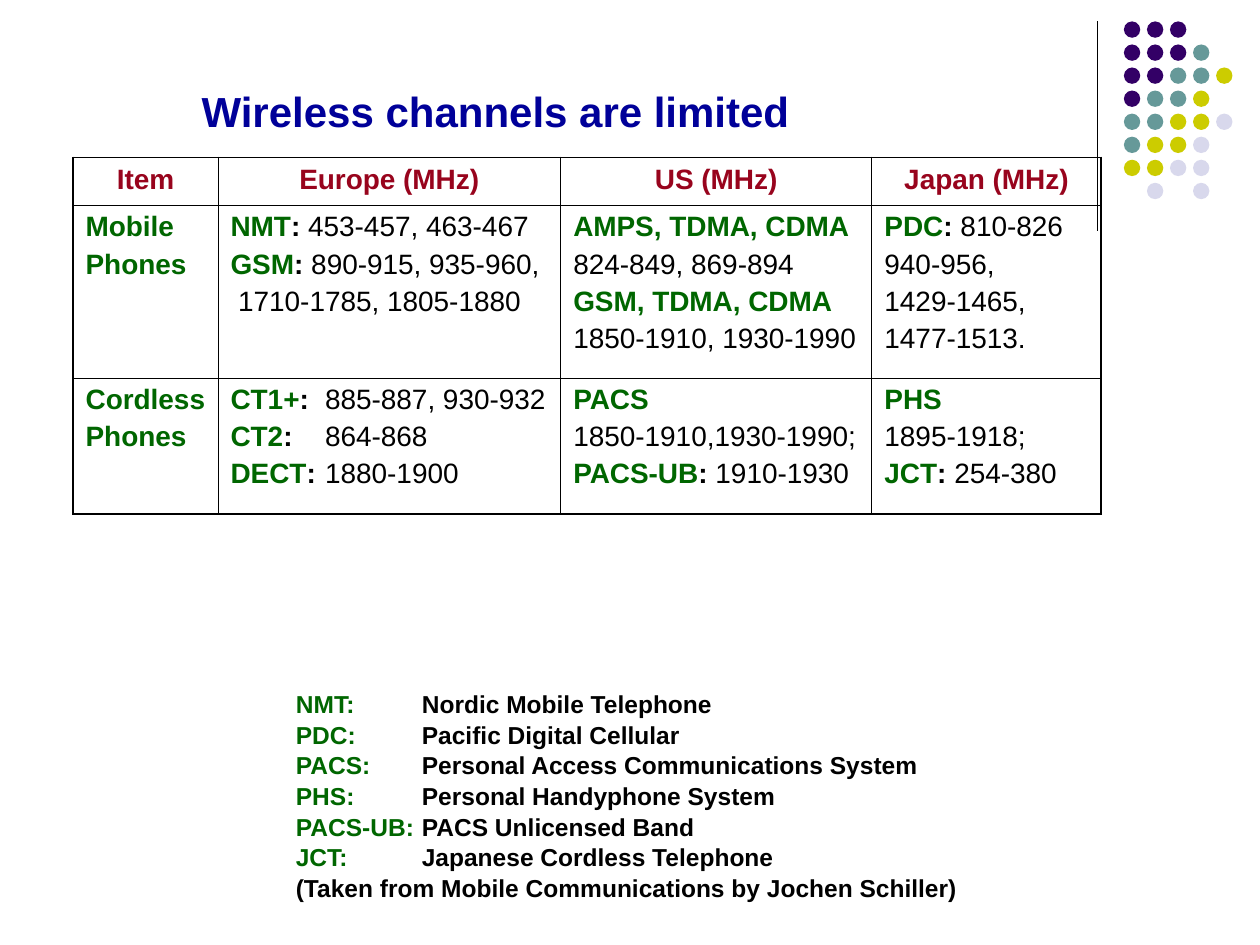
from dataclasses import dataclass

from lxml import etree
from pptx import Presentation
from pptx.dml.color import RGBColor
from pptx.enum.shapes import MSO_CONNECTOR, MSO_SHAPE
from pptx.enum.text import MSO_ANCHOR, PP_ALIGN
from pptx.oxml.ns import qn
from pptx.util import Inches, Pt

LEFT, CENTER = PP_ALIGN.LEFT, PP_ALIGN.CENTER
MIDDLE = MSO_ANCHOR.MIDDLE
OVAL = MSO_SHAPE.OVAL
LINE = MSO_CONNECTOR.STRAIGHT


@dataclass(frozen=True)
class Theme:
    """Hold the fonts, sizes and colours of the slide."""
    font: str = "Arial"
    title: str = "000099"
    head: str = "98041D"
    term: str = "006600"
    ink: str = "000000"
    dots: tuple = ("330066", "669999", "CCCC00", "D8D8EC")
    big: int = 24
    mid: int = 16
    small: int = 14
    thick: float = 1.08
    thin: float = 0.45


THEME = Theme()
TERM, MARK, PLAIN = (THEME.term, True), (THEME.ink, True), (THEME.ink, False)
DOTS = ("000", "0001", "00112", "0112", "11223", "1223", "2233", " 3 3")
COLS = (1.15, 2.72, 2.47, 1.82)
ROWS = (0.38, 1.37, 1.08)
HEADS = ("Item", "Europe (MHz)", "US (MHz)", "Japan (MHz)")
BODY = (
    (
        ("Mobile", "Phones"),
        ("NMT|: |453-457, 463-467", "GSM|: |890-915, 935-960,",
         "||1710-1785, 1805-1880"),
        ("AMPS, TDMA, CDMA", "||824-849, 869-894",
         "GSM, TDMA, CDMA", "||1850-1910, 1930-1990"),
        ("PDC|: |810-826", "||940-956,", "||1429-1465,", "||1477-1513."),
    ),
    (
        ("Cordless", "Phones"),
        ("CT1+|:\t|885-887, 930-932", "CT2|:\t|864-868",
         "DECT|:\t|1880-1900"),
        ("PACS", "||1850-1910,1930-1990;", "PACS-UB|: |1910-1930"),
        ("PHS", "||1895-1918;", "JCT|: |254-380"),
    ),
)
NOTES = (
    "NMT:\t|Nordic Mobile Telephone",
    "PDC:\t|Pacific Digital Cellular",
    "PACS:\t|Personal Access Communications System",
    "PHS:\t|Personal Handyphone System",
    "PACS-UB:\t|PACS Unlicensed Band",
    "JCT:\t|Japanese Cordless Telephone",
    "|(Taken from Mobile Communications by Jochen Schiller)",
)


def paint(run, size, color, bold):
    """Set the look of one run."""
    font = run.font
    font.name, font.size, font.bold = THEME.font, Pt(size), bold
    font.color.rgb = RGBColor.from_string(color)


def add_tab(para, stop):
    """Give a paragraph one left tab stop."""
    tabs = etree.SubElement(para._p.get_or_add_pPr(), qn("a:tabLst"))
    etree.SubElement(tabs, qn("a:tab"), pos=str(stop), algn="l")


def write(frame, lines, size, gap, stop, looks=(TERM, MARK, PLAIN)):
    """Fill a frame with lines whose parts take the looks in turn."""
    for i, line in enumerate(lines):
        para = frame.add_paragraph() if i else frame.paragraphs[0]
        para.alignment = LEFT
        para.space_before = Pt(gap if i else 0)
        if "\t" in line:
            add_tab(para, stop)
        for text, look in zip(line.split("|"), looks):
            if text:
                run = para.add_run()
                run.text = text
                paint(run, size, *look)


def add_title(slide, left, top, width, height):
    """Place the title."""
    shape = slide.shapes.title
    shape.left, shape.top, shape.width, shape.height = left, top, width, height
    frame = shape.text_frame
    frame.text = "Wireless channels are limited"
    frame.vertical_anchor, frame.word_wrap = MIDDLE, True
    para = frame.paragraphs[0]
    para.alignment = LEFT
    paint(para.runs[0], THEME.big, THEME.title, True)


def add_corner(slide, left, top, height):
    """Draw the upright rule and the dot pattern to its right."""
    rule = slide.shapes.add_connector(LINE, left, top, left, top + height)
    rule.line.color.rgb = RGBColor.from_string(THEME.ink)
    rule.line.width = Pt(0.75)
    etree.SubElement(rule._element.spPr, qn("a:effectLst"))
    group = slide.shapes.add_group_shape()
    step, size = Inches(0.183), Inches(0.13)
    start = left + Inches(0.21)
    for r, row in enumerate(DOTS):
        for c, tone in enumerate(row):
            if tone == " ":
                continue
            dot = group.shapes.add_shape(
                OVAL, start + c * step, top + r * step, size, size)
            dot.shadow.inherit = False
            dot.fill.solid()
            dot.fill.fore_color.rgb = RGBColor.from_string(
                THEME.dots[int(tone)])
            dot.line.fill.background()


def add_edges(cell, r, c):
    """Clear a cell and line it, with thicker lines at the table's rim."""
    cell.fill.background()
    rims = (("L", c == 0), ("R", c == len(COLS) - 1),
            ("T", r == 0), ("B", r == len(ROWS) - 1))
    props = cell._tc.get_or_add_tcPr()
    for i, (side, rim) in enumerate(rims):
        width = Pt(THEME.thick if rim else THEME.thin)
        edge = etree.Element(qn("a:ln" + side), w=str(int(width)))
        fill = etree.SubElement(edge, qn("a:solidFill"))
        etree.SubElement(fill, qn("a:srgbClr"), val=THEME.ink)
        props.insert(i, edge)


def add_bands(slide, left, top):
    """Place the table of frequency bands."""
    table = slide.shapes.add_table(
        len(ROWS), len(COLS), left, top,
        Inches(sum(COLS)), Inches(sum(ROWS))).table
    table.first_row = table.horz_banding = False
    for col, width in zip(table.columns, COLS):
        col.width = Inches(width)
    for row, height in zip(table.rows, ROWS):
        row.height = Inches(height)
    for c, head in enumerate(HEADS):
        frame = table.cell(0, c).text_frame
        frame.text = head
        frame.paragraphs[0].alignment = CENTER
        paint(frame.paragraphs[0].runs[0], THEME.mid, THEME.head, True)
    for r, row in enumerate(BODY, 1):
        for c, lines in enumerate(row):
            write(table.cell(r, c).text_frame, lines, THEME.mid, 3.5,
                  Inches(0.75))
    inset = table.cell(1, 1).text_frame.paragraphs[2]
    inset._p.get_or_add_pPr().set("marL", str(Inches(0.06)))
    for r in range(len(ROWS)):
        for c in range(len(COLS)):
            add_edges(table.cell(r, c), r, c)


def add_notes(slide, left, top, width, height):
    """Place the list of short forms."""
    frame = slide.shapes.add_textbox(left, top, width, height).text_frame
    frame.word_wrap = True
    write(frame, NOTES, THEME.small, 0.7, Inches(1))


def main():
    """Build and save the slide."""
    deck = Presentation()
    deck.slide_width, deck.slide_height = Inches(10), Inches(7.5)
    slide = deck.slides.add_slide(deck.slide_layouts[5])
    add_corner(slide, Inches(8.71), Inches(0.17), Inches(1.66))
    add_title(slide, Inches(1.5), Inches(0.5), Inches(5.33), Inches(0.75))
    add_bands(slide, Inches(0.58), Inches(1.25))
    add_notes(slide, Inches(2.25), Inches(5.42), Inches(6.17), Inches(1.74))
    deck.save("out.pptx")


if __name__ == "__main__":
    main()
